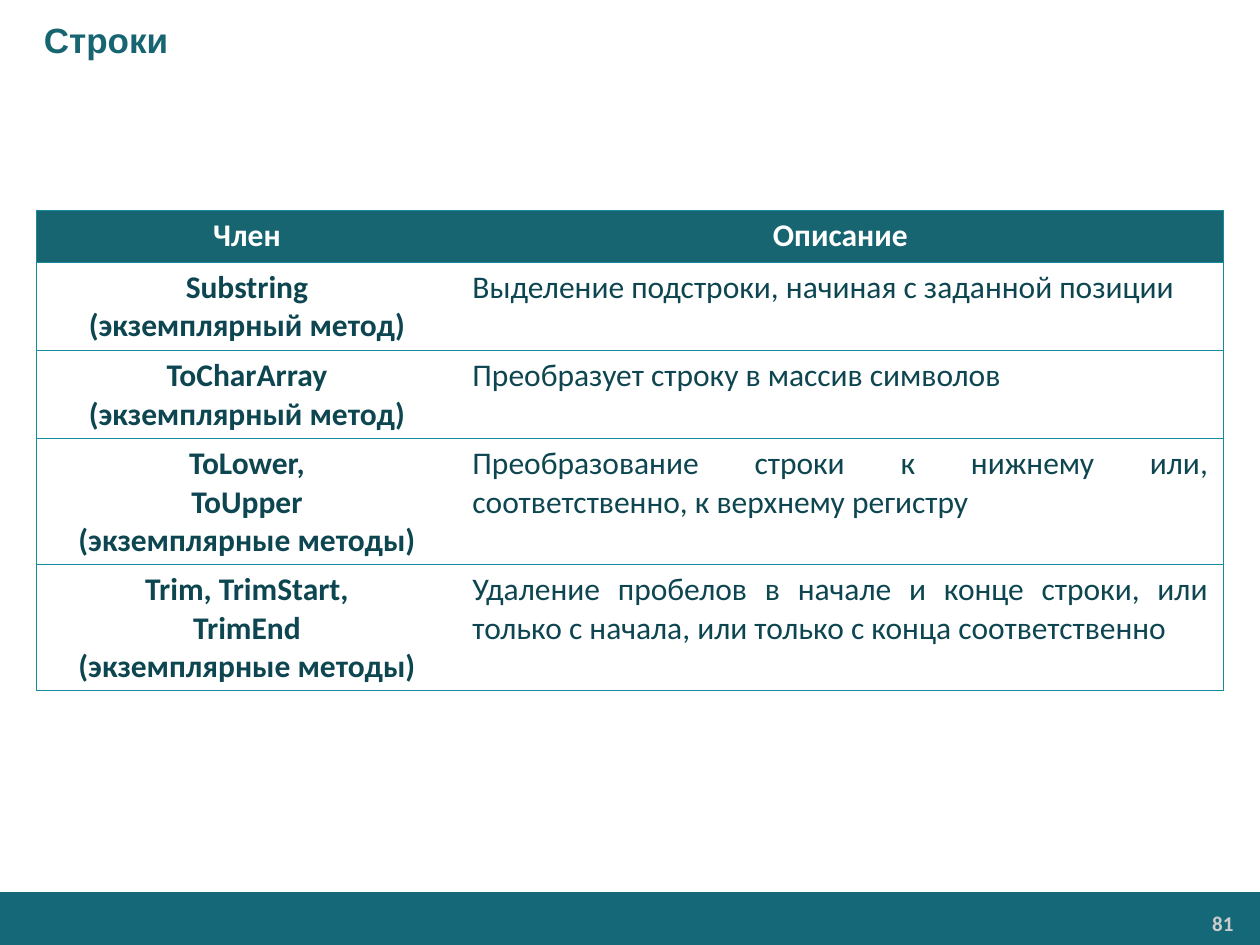
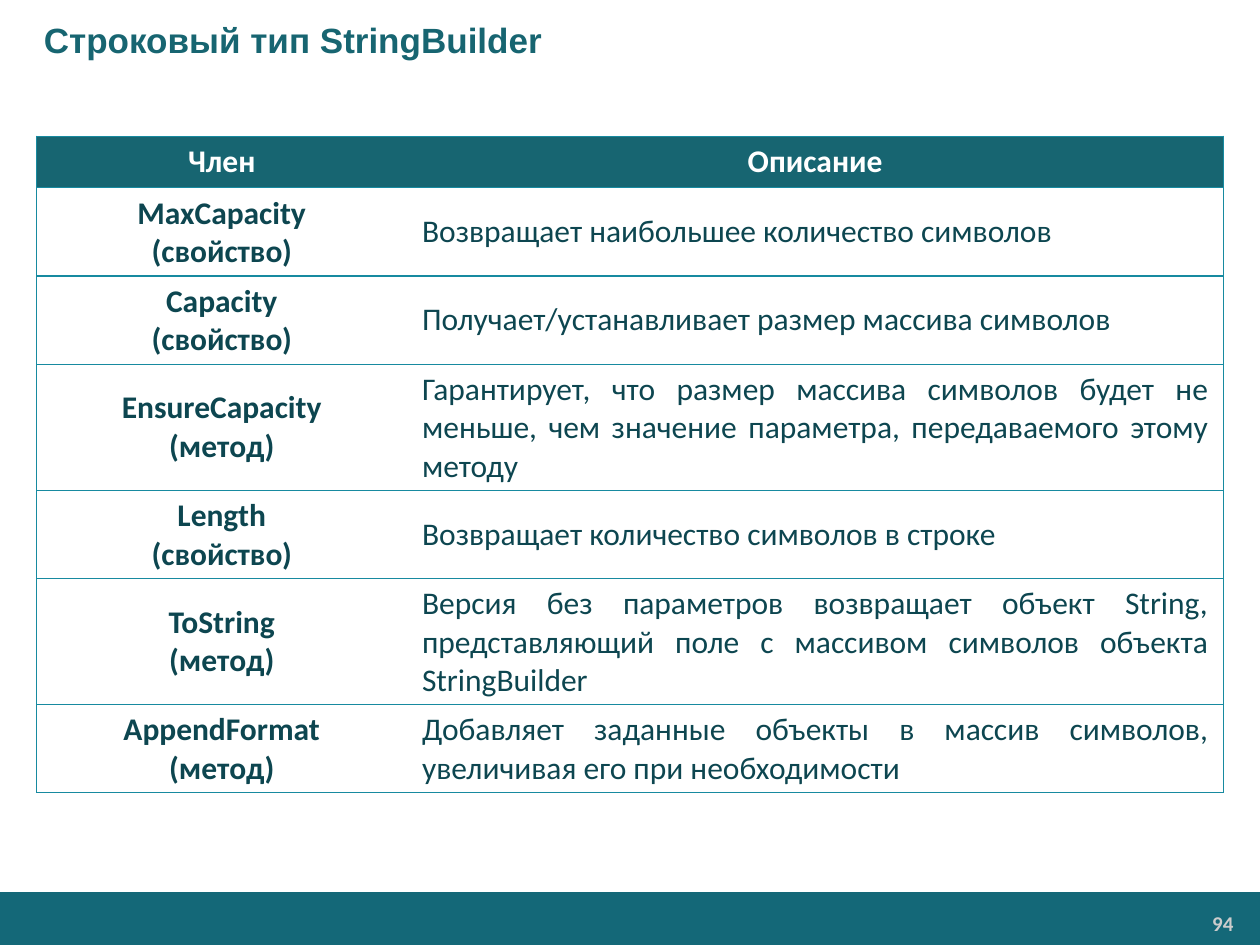
import pptx
import pptx.dml.color
import pptx.enum.shapes
import pptx.enum.text
import pptx.oxml
import pptx.oxml.ns
import pptx.util

RGBColor = pptx.dml.color.RGBColor
Align = pptx.enum.text.PP_ALIGN
Anchor = pptx.enum.text.MSO_ANCHOR

FOOTER_TEAL = RGBColor(0x14, 0x68, 0x78)
HEADER_TEAL = RGBColor(0x17, 0x65, 0x71)
BORDER_TEAL = RGBColor(0x17, 0x8A, 0xA0)
BODY_TEAL = RGBColor(0x0D, 0x46, 0x50)
NUMBER_GREY = RGBColor(0xCC, 0xCC, 0xCC)
WHITE = RGBColor(0xFF, 0xFF, 0xFF)

GRID_COLUMNS, GRID_ROWS = 100, 75
TABLE_LEFT = 2.9
TABLE_ROW = 4.1
HEADINGS = ("Член", "Описание")

STRING_MEMBERS = [
    ("Substring\n(экземплярный метод)", "Выделение подстроки, начиная с заданной позиции"),
    ("ToCharArray\n(экземплярный метод)", "Преобразует строку в массив символов"),
    ("ToLower,\nToUpper\n(экземплярные методы)",
     "Преобразование строки к нижнему или, соответственно, к верхнему регистру"),
    ("Trim, TrimStart,\nTrimEnd\n(экземплярные методы)",
     "Удаление пробелов в начале и конце строки, или только с начала, "
     "или только с конца соответственно"),
]
BUILDER_MEMBERS = [
    ("MaxCapacity\n(свойство)", "Возвращает наибольшее количество символов"),
    ("Capacity\n(свойство)", "Получает/устанавливает размер массива символов"),
    ("EnsureCapacity\n(метод)",
     "Гарантирует, что размер массива символов будет не меньше, "
     "чем значение параметра, передаваемого этому методу"),
    ("Length\n(свойство)", "Возвращает количество символов в строке"),
    ("ToString\n(метод)",
     "Версия без параметров возвращает объект String, "
     "представляющий поле с массивом символов объекта StringBuilder"),
    ("AppendFormat\n(метод)",
     "Добавляет заданные объекты в массив символов, увеличивая его при необходимости"),
]


class Lecture:
    def __init__(self):
        self.deck = pptx.Presentation()
        self.deck.slide_width = pptx.util.Inches(10)
        self.deck.slide_height = pptx.util.Inches(7.5)
        self.slide = None

    def x(self, columns):
        return round(self.deck.slide_width * columns / GRID_COLUMNS)

    def y(self, rows):
        return round(self.deck.slide_height * rows / GRID_ROWS)

    def area(self, left, top, width, height):
        return self.x(left), self.y(top), self.x(width), self.y(height)

    def start_slide(self, title, number):
        self.slide = self.deck.slides.add_slide(self.deck.slide_layouts[6])
        self.band(0, 70.8, 100, 4.2)
        self.text(number, (82.3, 71.9, 16.3, 2.8), "Calibri", 12, NUMBER_GREY,
                  align=Align.RIGHT, margins=(0.07, 0.04))
        self.text(title, (0, 0, 100, 6.3), "Arial", 20, HEADER_TEAL,
                  anchor=Anchor.MIDDLE, indent=2.5)

    def band(self, *place):
        footer = self.slide.shapes.add_shape(
            pptx.enum.shapes.MSO_SHAPE.RECTANGLE, *self.area(*place))
        footer.shadow.inherit = False
        footer.fill.solid()
        footer.fill.fore_color.rgb = FOOTER_TEAL
        footer.line.fill.background()

    def text(self, words, place, font, size, color, align=Align.LEFT,
             anchor=Anchor.TOP, margins=(0.1, 0.05), indent=0):
        frame = self.slide.shapes.add_textbox(*self.area(*place)).text_frame
        frame.word_wrap = True
        frame.vertical_anchor = anchor
        self.set_margins(frame, *margins)
        frame.text = words
        if indent:
            properties = frame.paragraphs[0]._p.get_or_add_pPr()
            properties.set("marL", str(self.x(indent)))
            properties.set("indent", "0")
        self.format(frame, font, size, color, True, align)

    def set_margins(self, holder, side, edge):
        holder.margin_left = holder.margin_right = pptx.util.Inches(side)
        holder.margin_top = holder.margin_bottom = pptx.util.Inches(edge)

    def format(self, frame, font, size, color, bold, align):
        for paragraph in frame.paragraphs:
            paragraph.alignment = align
            for run in paragraph.runs:
                run.font.name = font
                run.font.size = pptx.util.Pt(size)
                run.font.bold = bold
                run.font.color.rgb = color

    def members_table(self, top, widths, members, anchor):
        rows = [HEADINGS, *members]
        table = self.slide.shapes.add_table(
            len(rows), len(widths),
            *self.area(TABLE_LEFT, top, sum(widths), TABLE_ROW * len(rows))).table
        table.first_row = table.horz_banding = False
        for column, width in zip(table.columns, widths):
            column.width = self.x(width)
        for row, words in enumerate(rows):
            for column, content in enumerate(words):
                self.cell(table.cell(row, column), content, row == 0, column == 0, anchor)

    def cell(self, cell, content, is_heading, is_member, anchor):
        cell.text_frame.text = content
        cell.vertical_anchor = anchor
        self.set_margins(cell, 0.12, 0.05)
        self.borders(cell, is_member)
        if is_heading:
            cell.fill.solid()
            cell.fill.fore_color.rgb = HEADER_TEAL
        else:
            cell.fill.background()
        centred = is_heading or is_member
        self.format(cell.text_frame, "Calibri", 18, WHITE if is_heading else BODY_TEAL,
                    centred, Align.CENTER if centred else Align.JUSTIFY)

    def borders(self, cell, is_member):
        inner = "R" if is_member else "L"
        painted = f'<a:solidFill><a:srgbClr val="{BORDER_TEAL}"/></a:solidFill>'
        for side in "LRTB":
            paint = "<a:noFill/>" if side == inner else painted
            cell._tc.get_or_add_tcPr().append(pptx.oxml.parse_xml(
                f'<a:ln{side} {pptx.oxml.ns.nsdecls("a")} w="{pptx.util.Pt(0.75)}">'
                f"{paint}</a:ln{side}>"))


def main():
    lecture = Lecture()
    lecture.start_slide("Строки", "81")
    lecture.members_table(16.7, (33.4, 60.8), STRING_MEMBERS, Anchor.TOP)
    lecture.start_slide("Строковый тип StringBuilder", "94")
    lecture.members_table(10.8, (29.4, 64.8), BUILDER_MEMBERS, Anchor.MIDDLE)
    lecture.deck.save("out.pptx")


if __name__ == "__main__":
    main()
